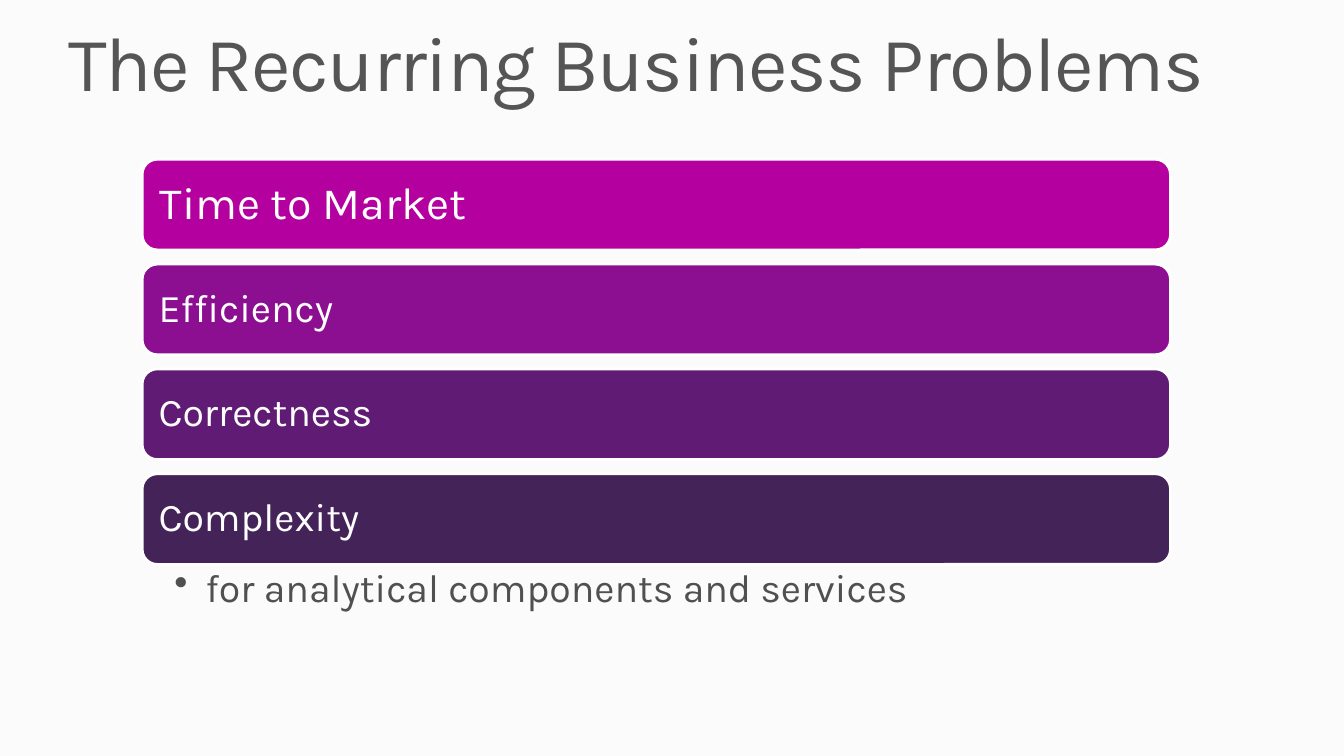
from pptx import Presentation
from pptx.dml.color import RGBColor
from pptx.enum.shapes import MSO_SHAPE as Shape
from pptx.enum.text import MSO_ANCHOR as Anchor, PP_ALIGN as Align
from pptx.oxml.ns import qn
from pptx.util import Inches, Pt
from lxml.etree import SubElement

TITLE = "The Recurring Business Problems"
PROBLEMS = [
    ("Time to Market", "B4009E", 32, 0.13),
    ("Efficiency", "8C0F92", 28, 0.12),
    ("Correctness", "601B74", 28, 0.12),
    ("Complexity", "442359", 28, 0.12),
]
DETAIL = "for analytical components and services"

THEME = {
    "font": "Karla",
    "background": "FBFBFB",
    "title": "555555",
    "white": "FFFFFF",
    "detail": "505050",
    "title_size": 55,
    "detail_size": 28,
    "title_spacing": -100,
    "bar_line": 2,
}
BAR_LEFT, BAR_TOP, BAR_WIDTH, BAR_HEIGHT = 1.41, 1.58, 10.2, 0.9
BAR_STEP = 1.04
DETAIL_TOP = 5.6
BULLET_INDENT = 0.31


def color(name):
    return RGBColor.from_string(THEME.get(name, name))


def write(shape, text, size, ink, insets, anchor=Anchor.TOP):
    frame = shape.text_frame
    sides = ("margin_left", "margin_top", "margin_right", "margin_bottom")
    layout = dict(zip(sides, map(Inches, insets)))
    layout.update(word_wrap=True, vertical_anchor=anchor)
    for name, value in layout.items():
        setattr(frame, name, value)
    paragraph = frame.paragraphs[0]
    paragraph.alignment = Align.LEFT
    paragraph.line_spacing = 0.9
    run = paragraph.add_run()
    run.text = text
    for name, value in {"name": THEME["font"], "size": Pt(size)}.items():
        setattr(run.font, name, value)
    run.font.color.rgb = color(ink)
    return paragraph, run


def add_text(slide, box, *content):
    shape = slide.shapes.add_textbox(*map(Inches, box))
    return write(shape, *content)


def add_bar(slide, index, problem):
    text, fill, size, inset = problem
    box = (BAR_LEFT, BAR_TOP + index * BAR_STEP, BAR_WIDTH, BAR_HEIGHT)
    shape = slide.shapes.add_shape(Shape.ROUNDED_RECTANGLE, *map(Inches, box))
    shape.shadow.inherit = False
    shape.fill.solid()
    shape.fill.fore_color.rgb = color(fill)
    shape.line.color.rgb = color("white")
    shape.line.width = Pt(THEME["bar_line"])
    write(shape, text, size, "white", [inset] * 4, Anchor.MIDDLE)


def add_bullet(paragraph):
    properties = paragraph._p.get_or_add_pPr()
    properties.set("marL", str(Inches(BULLET_INDENT)))
    properties.set("indent", str(-Inches(BULLET_INDENT)))
    SubElement(properties, qn("a:buChar")).set("char", "•")


def main():
    presentation = Presentation()
    presentation.slide_width = Inches(13.33)
    presentation.slide_height = Inches(7.5)
    slide = presentation.slides.add_slide(presentation.slide_layouts[6])
    slide.background.fill.solid()
    slide.background.fill.fore_color.rgb = color("background")

    _, title_run = add_text(slide, (0.68, 0.25, 11.96, 0.83), TITLE,
                            THEME["title_size"], "title", [0] * 4)
    title_run._r.get_or_add_rPr().set("spc", str(THEME["title_spacing"]))

    for index, problem in enumerate(PROBLEMS):
        add_bar(slide, index, problem)

    detail, _ = add_text(slide, (BAR_LEFT, DETAIL_TOP, BAR_WIDTH, 0.8), DETAIL,
                         THEME["detail_size"], "detail", (0.32, 0.04, 0.22, 0.04))
    detail.level = 1
    add_bullet(detail)

    presentation.save("out.pptx")


if __name__ == "__main__":
    main()
